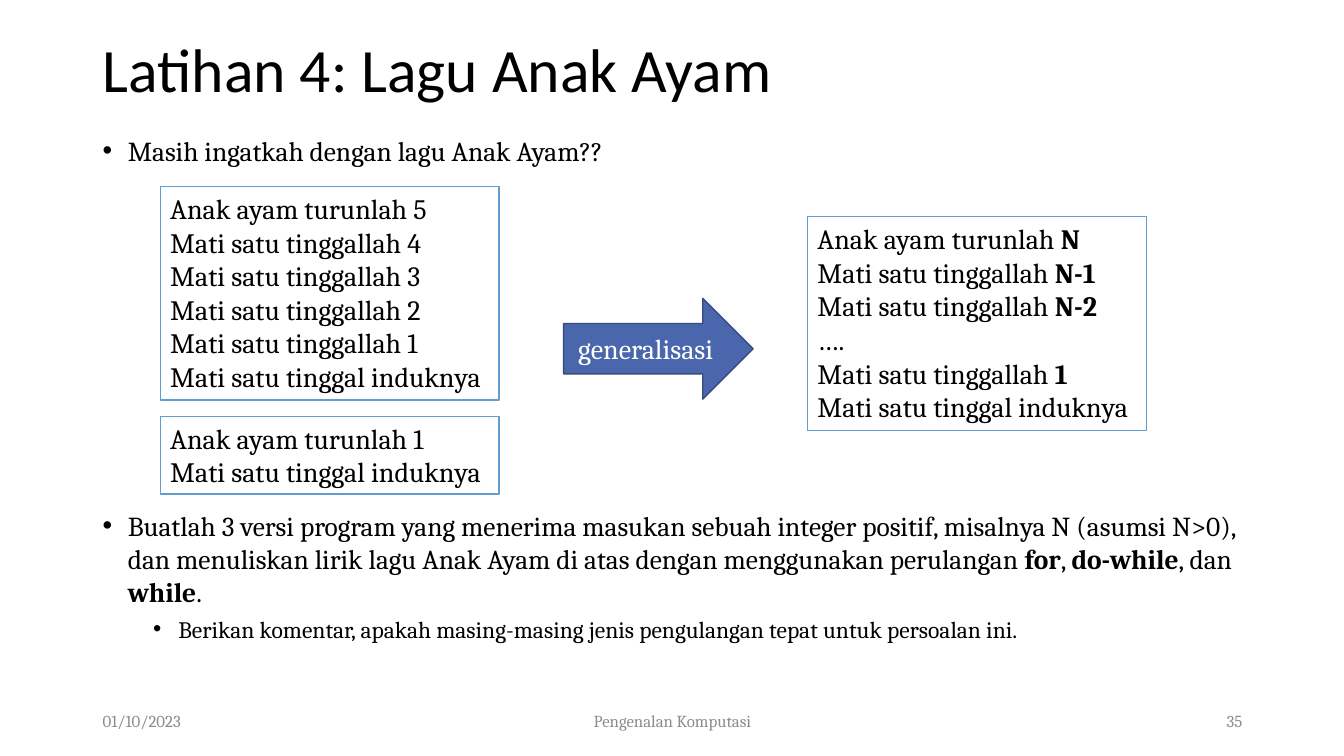
from dataclasses import dataclass

from lxml import etree
from pptx import Presentation
from pptx import util as u
from pptx.dml.color import RGBColor
from pptx.enum import shapes, text
from pptx.oxml.ns import qn

LEFT, MID, RIGHT = text.PP_ALIGN.LEFT, text.PP_ALIGN.CENTER, text.PP_ALIGN.RIGHT
TOP, CENTER = text.MSO_ANCHOR.TOP, text.MSO_ANCHOR.MIDDLE


@dataclass
class Theme:
    head: str = "Calibri"
    body: str = "Cambria"
    ink: str = "000000"
    paper: str = "FFFFFF"
    gray: str = "8C8C8C"
    edge: str = "629DD1"
    blue: str = "4A66AC"
    navy: str = "374B7F"
    title: float = 44
    song: float = 20
    point: float = 19.6
    sub: float = 16.8
    foot: float = 12


def color(code):
    return RGBColor.from_string(code)


def bullet(para, left):
    """Hang a bullet a quarter inch before the text."""
    props = para._p.get_or_add_pPr()
    props.set("marL", str(u.Inches(left)))
    props.set("indent", str(u.Inches(-0.25)))
    font = etree.SubElement(props, qn("a:buFont"))
    font.set("typeface", "Arial")
    etree.SubElement(props, qn("a:buChar")).set("char", "•")


def write(para, words, *, font, size, ink, align=LEFT, mark=None, before=0, space=None):
    """Fill a paragraph; words between ** marks are bold."""
    if mark:
        bullet(para, mark)
    para.alignment = align
    para.space_before = u.Pt(before)
    if space:
        para.line_spacing = space
    for i, part in enumerate(words.split("**")):
        if part:
            run = para.add_run()
            run.text = part
            run.font.name = font
            run.font.size = u.Pt(size)
            run.font.bold = i % 2 == 1
            run.font.color.rgb = color(ink)


class Page:
    def __init__(self, deck, theme):
        self.theme = theme
        self.slide = deck.slides.add_slide(deck.slide_layouts[6])

    def fill(self, frame, lines, anchor=TOP, **style):
        """Write lines; each is a text or a pair of text and own format."""
        frame.word_wrap = True
        frame.vertical_anchor = anchor
        base = {"font": self.theme.body, "ink": self.theme.ink, **style}
        for i, line in enumerate(lines):
            words, own = (line, {}) if isinstance(line, str) else line
            para = frame.add_paragraph() if i else frame.paragraphs[0]
            write(para, words, **{**base, **own})

    def label(self, place, lines, **style):
        box = self.slide.shapes.add_textbox(*map(u.Inches, place))
        self.fill(box.text_frame, lines, **style)

    def shape(self, kind, place, fill, edge):
        item = self.slide.shapes.add_shape(kind, *map(u.Inches, place))
        item.shadow.inherit = False
        item.fill.solid()
        item.fill.fore_color.rgb = color(fill)
        item.line.color.rgb = color(edge)
        item.line.width = u.Pt(1)
        return item

    def verse(self, left, top, high, lines):
        th = self.theme
        place = (left, top, 3.36, high)
        box = self.shape(shapes.MSO_SHAPE.RECTANGLE, place, th.paper, th.edge)
        self.fill(box.text_frame, lines, size=th.song)
        box.text_frame.word_wrap = False
        box.text_frame.auto_size = text.MSO_AUTO_SIZE.SHAPE_TO_FIT_TEXT

    def arrow(self, place, words):
        th = self.theme
        item = self.shape(shapes.MSO_SHAPE.RIGHT_ARROW, place, th.blue, th.navy)
        self.fill(item.text_frame, [words], CENTER, size=th.song, ink=th.paper, align=MID)


def main():
    deck = Presentation()
    deck.slide_width, deck.slide_height = u.Inches(13.33), u.Inches(7.5)
    th = Theme()
    page = Page(deck, th)

    # Title
    page.label((0.92, -0.01, 11.5, 1.45), ["Latihan 4: Lagu Anak Ayam"],
               anchor=CENTER, font=th.head, size=th.title, space=0.9)

    # Question and task
    page.label((0.92, 1.28, 11.5, 0.45), ["Masih ingatkah dengan lagu Anak Ayam??"],
               size=th.point, mark=0.25)
    task = ("Buatlah 3 versi program yang menerima masukan sebuah integer positif, "
            "misalnya N (asumsi N>0), dan menuliskan lirik lagu Anak Ayam di atas dengan "
            "menggunakan perulangan **for**, **do-while**, dan **while**.")
    hint = ("Berikan komentar, apakah masing-masing jenis pengulangan tepat "
            "untuk persoalan ini.")
    page.label((0.92, 5, 11.5, 1.76),
               [task, (hint, {"size": th.sub, "mark": 0.75, "before": 5})],
               size=th.point, mark=0.25)

    # Song verses
    first, left, last = "Anak ayam turunlah ", "Mati satu tinggallah ", "Mati satu tinggal induknya"
    page.verse(1.59, 1.85, 2.12,
               [first + "5", *(f"{left}{n}" for n in range(4, 0, -1)), last])
    page.verse(1.59, 4.13, 0.77, [first + "1", last])
    page.verse(8.01, 2.15, 2.12,
               [first + "**N**", left + "**N-1**", left + "**N-2**", "….",
                left + "**1**", last])
    page.arrow((5.59, 2.96, 1.88, 1), "generalisasi")

    # Footer
    for x, wide, words, align in ((0.92, 3, "01/10/2023", LEFT),
                                  (4.42, 4.5, "Pengenalan Komputasi", MID),
                                  (9.42, 3, "35", RIGHT)):
        page.label((x, 6.95, wide, 0.4), [words], anchor=CENTER,
                   size=th.foot, ink=th.gray, align=align)

    deck.save("out.pptx")


if __name__ == "__main__":
    main()
